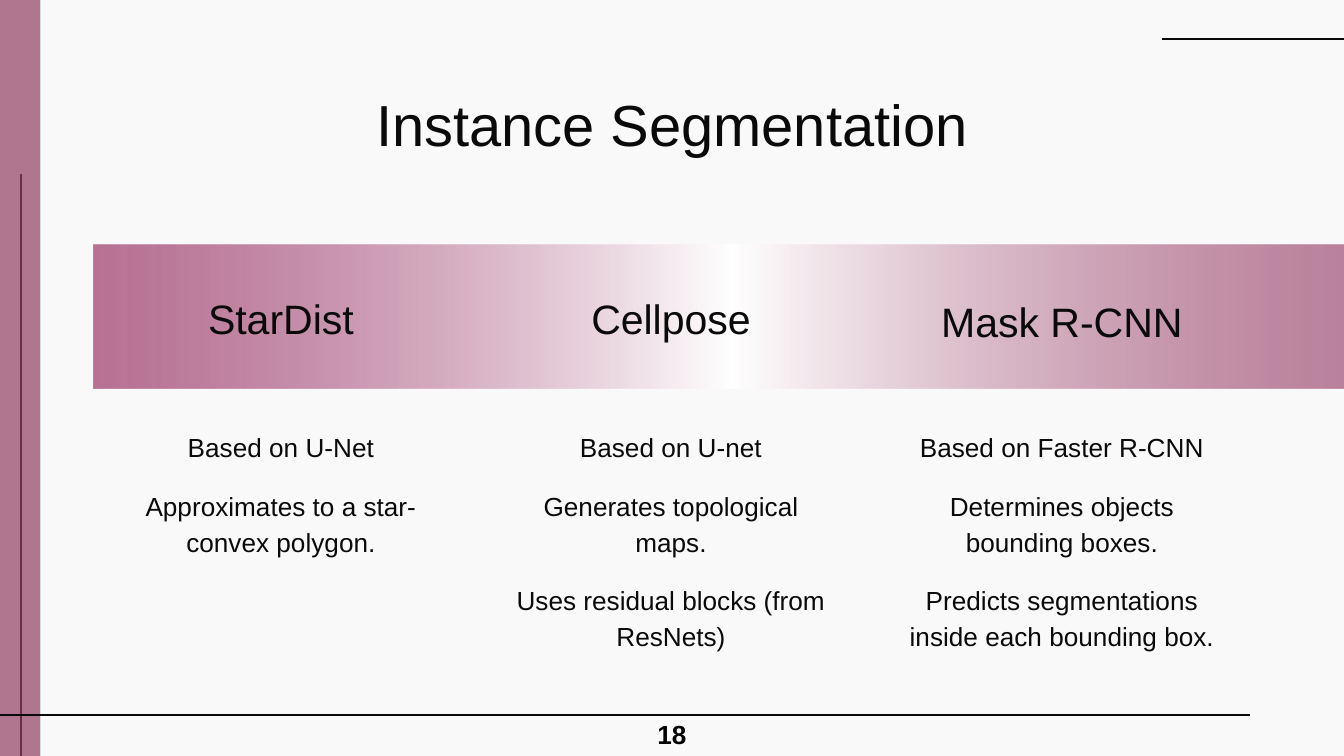
from lxml.etree import SubElement
from pptx import Presentation
from pptx.dml.color import RGBColor
from pptx.enum.shapes import MSO_CONNECTOR, MSO_SHAPE
from pptx.enum.text import MSO_ANCHOR as Anchor, MSO_AUTO_SIZE, PP_ALIGN
from pptx.oxml.ns import qn
from pptx.util import Pt

PX = 914400 / 134.4
WIDTH, HEIGHT = 1344, 756
COLORS = {
    "background": "F9F9F9",
    "ink": "0A0A0A",
    "number": "000000",
    "strip": "DDDDDD",
    "mauve": "994269",
    "plum": "942A5D",
    "white": "FFFFFF",
}
METHODS = [
    ("StarDist", Anchor.MIDDLE,
     ["Based on U-Net", "Approximates to a star-convex polygon."]),
    ("Cellpose", Anchor.MIDDLE,
     ["Based on U-net", "Generates topological maps.",
      "Uses residual blocks (from ResNets)"]),
    ("Mask R-CNN", Anchor.BOTTOM,
     ["Based on Faster R-CNN", "Determines objects bounding boxes.",
      "Predicts segmentations inside each bounding box."]),
]


def emu(px):
    return round(px * PX)


def rgb(name):
    return RGBColor.from_string(COLORS[name])


def place(part, x, y, w, h):
    part.left, part.top, part.width, part.height = map(emu, (x, y, w, h))


def write(part, paragraphs, size, color="ink", bold=False, anchor=Anchor.TOP,
          spacing=1.0, after=0, inset=13, top=13):
    frame = part.text_frame
    frame.word_wrap = True
    frame.auto_size = MSO_AUTO_SIZE.NONE
    frame.vertical_anchor = anchor
    frame.margin_left = frame.margin_right = frame.margin_bottom = emu(inset)
    frame.margin_top = emu(top)
    frame.text = "\n".join(paragraphs)
    for paragraph in frame.paragraphs:
        props = paragraph._p.get_or_add_pPr()
        props.set("marL", "0")
        props.set("indent", "0")
        SubElement(props, qn("a:buNone"))
        paragraph.alignment = PP_ALIGN.CENTER
        paragraph.line_spacing = spacing
        paragraph.space_before = Pt(0)
        paragraph.space_after = Pt(after)
        font = paragraph.font
        font.name, font.size, font.bold = "Arial", Pt(size), bold
        font.color.rgb = rgb(color)


def set_alpha(color, percent):
    SubElement(color, qn("a:alpha"), val=str(percent * 1000))


def rectangle(slide, x, y, w, h, color, alpha=100):
    block = slide.shapes.add_shape(MSO_SHAPE.RECTANGLE, *map(emu, (x, y, w, h)))
    block.shadow.inherit = False
    block.line.fill.background()
    block.fill.solid()
    block.fill.fore_color.rgb = rgb(color)
    if alpha < 100:
        set_alpha(block._element.spPr.find(".//" + qn("a:srgbClr")), alpha)
    return block


def rule(slide, x1, y1, x2, y2):
    line = slide.shapes.add_connector(
        MSO_CONNECTOR.STRAIGHT, *map(emu, (x1, y1, x2, y2)))
    line.line.color.rgb = rgb("ink")
    line.line.width = Pt(0.75)
    SubElement(line._element.spPr, qn("a:effectLst"))


def side_strip(slide, x, y, w, h):
    rectangle(slide, x, y, w, h, "strip")
    rule(slide, x + w // 2 + 1, y + 174, x + w // 2 + 1, y + h)
    rectangle(slide, x - 1, y, w, h, "mauve", alpha=66)


def gradient_band(slide, x, y, w, h):
    band = rectangle(slide, x, y, w, h, "white")
    band.fill.gradient()
    band.fill.gradient_angle = 0
    stops = band._element.spPr.find(".//" + qn("a:gsLst"))
    stops.clear()
    for position, color, alpha in [(0, "plum", 65), (51, "white", 100),
                                   (100, "mauve", 65)]:
        stop = SubElement(stops, qn("a:gs"), pos=str(position * 1000))
        set_alpha(SubElement(stop, qn("a:srgbClr"), val=COLORS[color]), alpha)


def method_column(heading, body, method, x, y, w, h):
    name, anchor, points = method
    place(heading, x, y, w, 82)
    write(heading, [name], size=22, anchor=anchor)
    place(body, x, y + 137, w, h - 137)
    write(body, points, size=14, spacing=1.15, after=12)


def page_footer(slide, x, y, w, h):
    rule(slide, x, y + 4, x + 1250, y + 4)
    number = slide.shapes.add_textbox(*map(emu, (x, y, w, h)))
    write(number, ["18"], size=14, color="number", bold=True,
          anchor=Anchor.MIDDLE, inset=6, top=6)


def main():
    deck = Presentation()
    deck.slide_width, deck.slide_height = emu(WIDTH), emu(HEIGHT)
    slide = deck.slides.add_slide(deck.slide_layouts.get_by_name("Comparison"))
    slide.background.fill.solid()
    slide.background.fill.fore_color.rgb = rgb("background")
    title, *column_parts = slide.placeholders

    side_strip(slide, 0, 0, 41, HEIGHT)
    rule(slide, 1162, 39, WIDTH, 39)
    gradient_band(slide, 94, 245, 1251, 144)
    page_footer(slide, 0, 711, WIDTH, 46)

    for part in [title, *column_parts]:
        slide.shapes._spTree.append(part._element)
    place(title, 105, 69, 1134, 81)
    write(title, ["Instance Segmentation"], size=31, top=20)
    column_parts += [slide.shapes.add_textbox(0, 0, 0, 0) for _ in range(2)]
    pairs = zip(column_parts[::2], column_parts[1::2], METHODS)
    for index, (heading, body, method) in enumerate(pairs):
        method_column(heading, body, method, 105 + index * 781 // 2, 277, 352, 410)

    deck.save("out.pptx")


if __name__ == "__main__":
    main()
